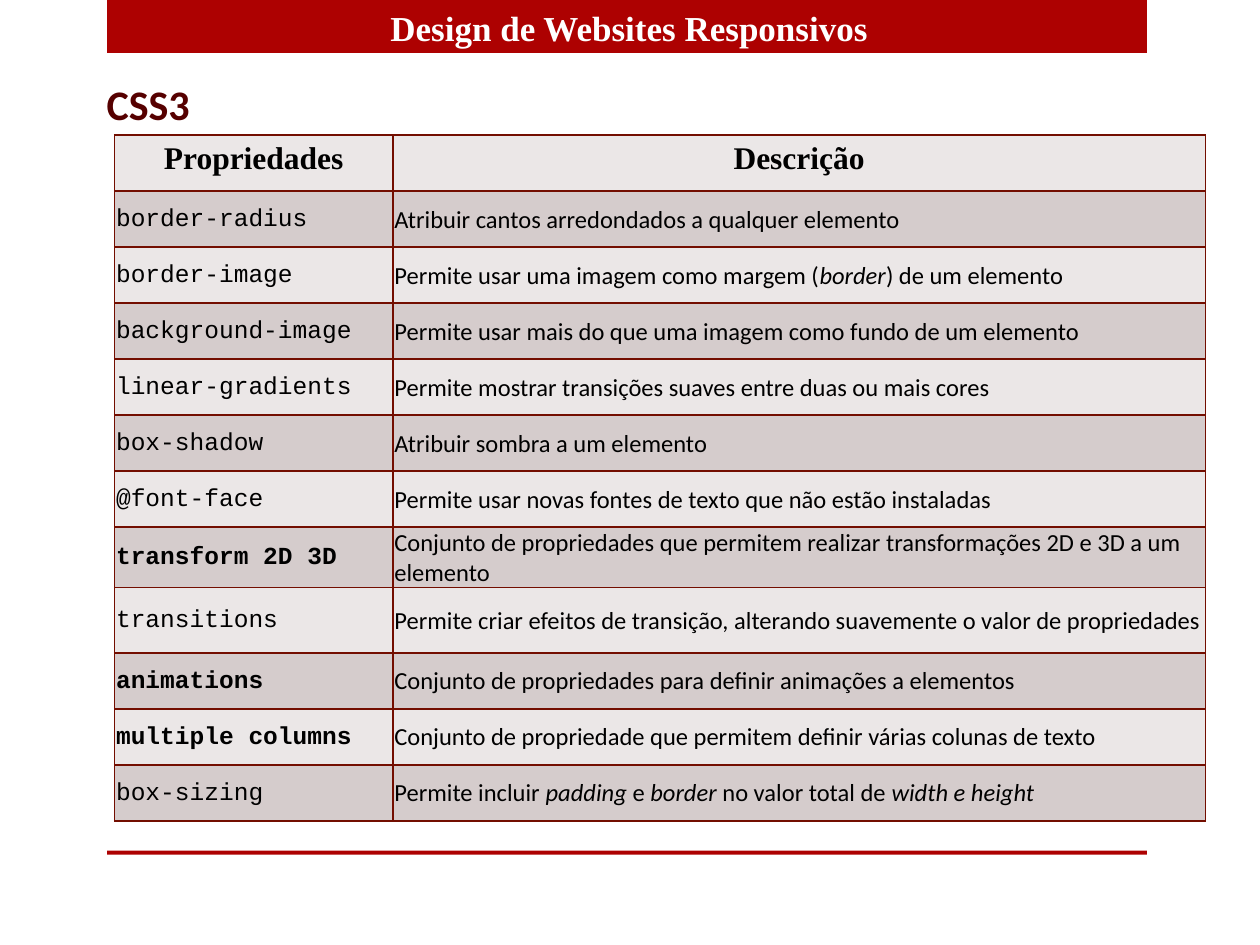
from dataclasses import dataclass

from lxml import etree
from pptx import Presentation
from pptx.dml.color import RGBColor
from pptx.enum import shapes, text
from pptx.oxml import ns
from pptx.util import Cm, Pt


@dataclass(frozen=True)
class Theme:
    red: str = "AD0101"
    maroon: str = "560000"
    border: str = "730E00"
    light: str = "EBE7E7"
    dark: str = "D5CCCC"
    black: str = "000000"
    white: str = "FFFFFF"
    serif: str = "Times New Roman"
    sans: str = "Calibri"
    mono: str = "Courier New"
    title: int = 20
    heading: int = 24
    header: int = 18
    cell: int = 14


THEME = Theme()

# Property, description, bold property name; asterisks enclose italics
ROWS = [
    ("border-radius", "Atribuir cantos arredondados a qualquer elemento", False),
    ("border-image", "Permite usar uma imagem como margem (*border*) de um elemento", False),
    ("background-image", "Permite usar mais do que uma imagem como fundo de um elemento", False),
    ("linear-gradients", "Permite mostrar transições suaves entre duas ou mais cores", False),
    ("box-shadow", "Atribuir sombra a um elemento", False),
    ("@font-face", "Permite usar novas fontes de texto que não estão instaladas", False),
    ("transform 2D 3D", "Conjunto de propriedades que permitem realizar transformações "
     "2D e 3D a um elemento", True),
    ("transitions", "Permite criar efeitos de transição, alterando suavemente o valor "
     "de propriedades", False),
    ("animations", "Conjunto de propriedades para definir animações a elementos", True),
    ("multiple columns", "Conjunto de propriedade que permitem definir várias colunas "
     "de texto", True),
    ("box-sizing", "Permite incluir *padding *e *border *no valor total de "
     "*width e height*", False),
]
COL_WIDTHS = (5.61, 16.38)
ROW_HEIGHT = 1.13
TALL_ROW, TALL_HEIGHT = 8, 1.32


def write(tf, content, font, size, color, bold=False, align=text.PP_ALIGN.LEFT):
    """Fill a text frame with one paragraph, italic between asterisks."""
    p = tf.paragraphs[0]
    p.alignment = align
    p.font.name, p.font.size, p.font.bold = font, Pt(size), bold
    p.font.color.rgb = RGBColor.from_string(color)
    for i, part in enumerate(content.split("*")):
        if part:
            r = p.add_run()
            r.text = part
            if i % 2:
                r.font.italic = True


def add_bar(s, top, height):
    sp = s.shapes.add_shape(shapes.MSO_SHAPE.RECTANGLE,
                            Cm(2.16), Cm(top), Cm(20.96), Cm(height))
    sp.shadow.inherit = False
    sp.fill.solid()
    sp.fill.fore_color.rgb = RGBColor.from_string(THEME.red)
    sp.line.fill.background()


def set_title(s, content):
    sp = s.shapes.title
    sp.left, sp.top, sp.width, sp.height = Cm(5.89), Cm(0), Cm(13.59), Cm(1.12)
    sp.text_frame.vertical_anchor = text.MSO_ANCHOR.MIDDLE
    write(sp.text_frame, content, THEME.serif, THEME.title, THEME.white,
          True, text.PP_ALIGN.CENTER)
    s.shapes.element.append(sp.element)  # bring in front of the banner


def add_heading(s, content):
    sp = s.shapes.add_textbox(Cm(1.9), Cm(1.45), Cm(2.21), Cm(1.27))
    sp.text_frame.word_wrap = False
    write(sp.text_frame, content, THEME.sans, THEME.heading, THEME.maroon, True)


def style_cell(cell, fill):
    """Draw the four borders, then the fill."""
    tc_pr = cell._tc.get_or_add_tcPr()
    for side in ("lnL", "lnR", "lnT", "lnB"):
        ln = etree.SubElement(tc_pr, ns.qn("a:" + side), w=str(Pt(1)))
        solid = etree.SubElement(ln, ns.qn("a:solidFill"))
        etree.SubElement(solid, ns.qn("a:srgbClr"), val=THEME.border)
    cell.fill.solid()
    cell.fill.fore_color.rgb = RGBColor.from_string(fill)


def add_body_cell(cell, content, font, bold=False):
    cell.vertical_anchor = text.MSO_ANCHOR.MIDDLE
    cell.margin_left = cell.margin_right = cell.margin_top = Cm(0.03)
    cell.margin_bottom = 0
    write(cell.text_frame, content, font, THEME.cell, THEME.black, bold)


def add_property_table(s):
    count = len(ROWS) + 1
    table = s.shapes.add_table(count, 2, Cm(2.31), Cm(2.72),
                               Cm(sum(COL_WIDTHS)), Cm(ROW_HEIGHT * count)).table
    for col, width in zip(table.columns, COL_WIDTHS):
        col.width = Cm(width)
    for i, row in enumerate(table.rows):
        row.height = Cm(TALL_HEIGHT if i == TALL_ROW else ROW_HEIGHT)
        for cell in row.cells:
            style_cell(cell, THEME.dark if i % 2 else THEME.light)

    # Header row
    for cell, label in zip(table.rows[0].cells, ("Propriedades", "Descrição")):
        write(cell.text_frame, label, THEME.serif, THEME.header, THEME.black,
              True, text.PP_ALIGN.CENTER)

    # Body rows
    for i, (name, description, bold) in enumerate(ROWS, start=1):
        add_body_cell(table.cell(i, 0), name, THEME.mono, bold)
        add_body_cell(table.cell(i, 1), description, THEME.sans)


def main():
    prs = Presentation()
    prs.slide_width, prs.slide_height = Cm(25.4), Cm(19.05)
    s = prs.slides.add_slide(prs.slide_layouts[5])

    # Banner and footer rule
    add_bar(s, 0, 1.07)
    add_bar(s, 17.15, 0.08)
    set_title(s, "Design de Websites Responsivos")

    # Content
    add_heading(s, "CSS3")
    add_property_table(s)

    prs.save("out.pptx")


if __name__ == "__main__":
    main()
